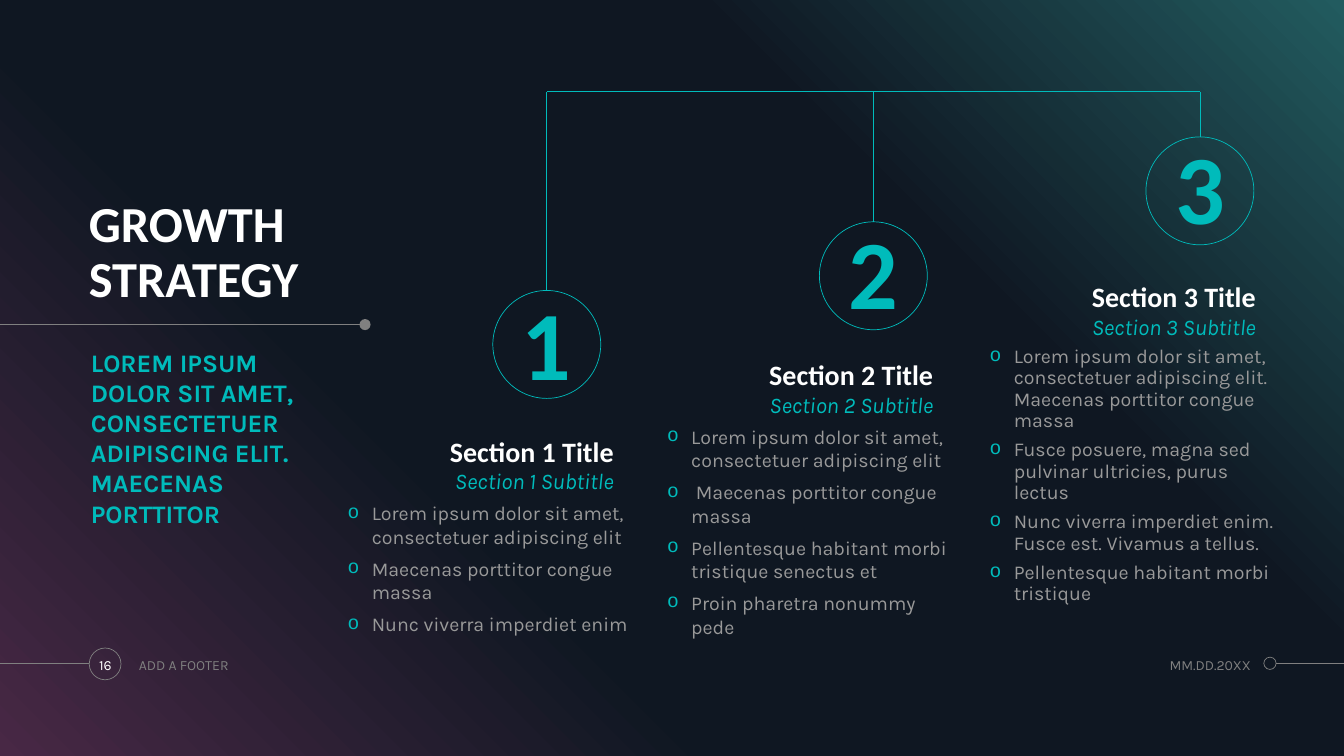
import copy

import pptx
import pptx.dml.color
import pptx.enum.shapes
import pptx.enum.text
import pptx.oxml.ns
import pptx.util
from lxml import etree

Cm = pptx.util.Cm
Pt = pptx.util.Pt
qn = pptx.oxml.ns.qn
SHAPE = pptx.enum.shapes.MSO_SHAPE
ALIGN = pptx.enum.text.PP_ALIGN
ANCHOR = pptx.enum.text.MSO_ANCHOR

TEAL, GREY, PALE, WHITE = "00BBBB", "808080", "999999", "FFFFFF"
WIDE, HIGH = 33.87, 19.05
BAR = 2.31
DISC = 2.72

# number, disc left and top, text left and top, list height, top inset, spacing, points
PARTS = [
    (1, 12.42, 7.32, 8.76, 10.8, 3.56, 0.2, None, [
        "Lorem ipsum dolor sit amet, consectetuer adipiscing elit",
        "Maecenas porttitor congue massa",
        "Nunc viverra imperdiet enim"]),
    (2, 20.65, 5.59, 16.81, 8.87, 4.95, 0.1, None, [
        "Lorem ipsum dolor sit amet, consectetuer adipiscing elit",
        " Maecenas porttitor congue massa",
        "Pellentesque habitant morbi tristique senectus et",
        "Proin pharetra nonummy pede"]),
    (3, 28.88, 3.45, 24.94, 6.91, 6.43, 0.1, 0.9, [
        "Lorem ipsum dolor sit amet, consectetuer adipiscing elit. "
        "Maecenas porttitor congue massa",
        "Fusce posuere, magna sed pulvinar ultricies, purus lectus",
        "Nunc viverra imperdiet enim. Fusce est. Vivamus a tellus.",
        "Pellentesque habitant morbi tristique"]),
]


def tint(code):
    return pptx.dml.color.RGBColor.from_string(code)


def add_back(slide):
    """Cover the slide with a diagonal blend."""
    back = slide.shapes.add_shape(SHAPE.RECTANGLE, 0, 0, Cm(WIDE), Cm(HIGH))
    back.shadow.inherit = False
    back.line.fill.background()
    back.fill.gradient()
    back.fill.gradient_angle = 45
    stops = back._element.spPr.find(".//" + qn("a:gsLst"))
    for _ in range(2):
        stops.append(copy.deepcopy(stops[0]))
    blend = [(0, "482845"), (0.34, "0F1722"), (0.69, "0F1722"), (1, "225B5F")]
    for stop, (place, code) in zip(back.fill.gradient_stops, blend):
        stop.position = place
        stop.color.rgb = tint(code)


def add_line(slide, x1, y1, x2, y2, code):
    line = slide.shapes.add_connector(
        pptx.enum.shapes.MSO_CONNECTOR.STRAIGHT, Cm(x1), Cm(y1), Cm(x2), Cm(y2))
    line.line.color.rgb = tint(code)
    line.line.width = Pt(0.5)
    etree.SubElement(line._element.spPr, qn("a:effectLst"))
    return line


def add_disc(slide, x, y, size, code, solid=False):
    disc = slide.shapes.add_shape(SHAPE.OVAL, Cm(x), Cm(y), Cm(size), Cm(size))
    disc.shadow.inherit = False
    if solid:
        disc.fill.solid()
        disc.fill.fore_color.rgb = tint(code)
        disc.line.fill.background()
    else:
        disc.fill.background()
        disc.line.color.rgb = tint(code)
        disc.line.width = Pt(0.5)
    return disc


def set_frame(frame, anchor, top=0):
    frame.word_wrap = True
    frame.vertical_anchor = anchor
    frame.margin_left = frame.margin_right = frame.margin_bottom = 0
    frame.margin_top = Cm(top)


def add_run(para, text, size, font, code, bold=False, slant=False):
    run = para.add_run()
    run.text = text
    run.font.size = Pt(size)
    run.font.name = font
    run.font.color.rgb = tint(code)
    run.font.bold = bold
    run.font.italic = slant


def add_text(slide, box, lines, size, font, code, anchor=ANCHOR.TOP,
             align=ALIGN.LEFT, space=None, bold=False, slant=False):
    """Write lines, split by breaks, as one paragraph."""
    frame = slide.shapes.add_textbox(*map(Cm, box)).text_frame
    set_frame(frame, anchor)
    para = frame.paragraphs[0]
    para.alignment = align
    para.line_spacing = space
    for i, text in enumerate(lines):
        if i:
            para.add_line_break()
        add_run(para, text, size, font, code, bold, slant)


def add_mark(para):
    """Give a paragraph a teal round bullet and a hanging indent."""
    props = para._p.get_or_add_pPr()
    props.set("marL", str(Cm(0.61)))
    props.set("indent", str(-Cm(0.61)))
    shade = etree.SubElement(props, qn("a:buClr"))
    etree.SubElement(shade, qn("a:srgbClr"), val=TEAL)
    etree.SubElement(props, qn("a:buFont"), typeface="Courier New")
    etree.SubElement(props, qn("a:buChar"), char="o")


def add_list(slide, box, points, space):
    frame = slide.shapes.add_textbox(*map(Cm, box)).text_frame
    set_frame(frame, ANCHOR.TOP)
    for i, point in enumerate(points):
        para = frame.add_paragraph() if i else frame.paragraphs[0]
        add_mark(para)
        para.line_spacing = space
        if i:
            para.space_before = Pt(6)
        add_run(para, point, 14, "Karla", PALE)


def add_part(slide, num, left, top, x, y, tall, inset, space, points):
    """Draw one section: its stem, numbered disc, headings and list."""
    disc = add_disc(slide, left, top, DISC, TEAL)
    set_frame(disc.text_frame, ANCHOR.MIDDLE, inset)
    para = disc.text_frame.paragraphs[0]
    para.alignment = ALIGN.CENTER
    para.line_spacing = 0.9
    add_run(para, str(num), 70, "Calibri", TEAL, bold=True)
    mid = left + DISC / 2
    stem = add_line(slide, mid, top, mid, BAR, TEAL)
    stem.begin_connect(disc, 0)
    add_text(slide, (x, y, 6.71, 1), [f"Section {num} Title"], 20, "Calibri",
             WHITE, ANCHOR.BOTTOM, ALIGN.RIGHT, 0.9, bold=True)
    add_text(slide, (x, y + 1, 6.71, 0.66), [f"Section {num} Subtitle"], 16, "Karla",
             TEAL, ANCHOR.BOTTOM, ALIGN.RIGHT, 0.9, slant=True)
    add_list(slide, (x, y + 1.83, 7.19, tall), points, space)


def add_foot(slide):
    add_line(slide, 0, 16.72, 2.25, 16.72, GREY)
    add_disc(slide, 2.25, 16.33, 0.8, GREY)
    add_disc(slide, 31.85, 16.56, 0.31, GREY)
    add_line(slide, 32.16, 16.72, WIDE, 16.72, GREY)
    for x, wide, text, code, align in [
            (2.16, 0.99, "16", WHITE, ALIGN.CENTER),
            (3.5, 7.6, "ADD A FOOTER", GREY, ALIGN.LEFT),
            (27.81, 3.71, "MM.DD.20XX", GREY, ALIGN.RIGHT)]:
        add_text(slide, (x, 16.33, wide, 0.84), [text], 10, "Karla", code,
                 ANCHOR.MIDDLE, align)


def main():
    deck = pptx.Presentation()
    deck.slide_width, deck.slide_height = Cm(WIDE), Cm(HIGH)
    slide = deck.slides.add_slide(deck.slide_layouts[6])
    add_back(slide)
    add_line(slide, 0, 8.18, 9.08, 8.18, GREY)
    add_disc(slide, 9.06, 8.04, 0.28, GREY, solid=True)
    add_text(slide, (2.24, 4.19, 7.85, 3.58), ["GROWTH", "STRATEGY"], 36, "Calibri",
             WHITE, ANCHOR.BOTTOM, space=0.9, bold=True)
    add_text(slide, (2.29, 8.74, 6.15, 5.82),
             ["LOREM IPSUM DOLOR SIT AMET, CONSECTETUER ADIPISCING ELIT. "
              "MAECENAS PORTTITOR"], 18, "Karla", TEAL, bold=True)
    first, last = (PARTS[i][1] + DISC / 2 for i in (0, -1))
    add_line(slide, first, BAR, last, BAR, TEAL)
    for part in PARTS:
        add_part(slide, *part)
    add_foot(slide)
    deck.save("out.pptx")


if __name__ == "__main__":
    main()
